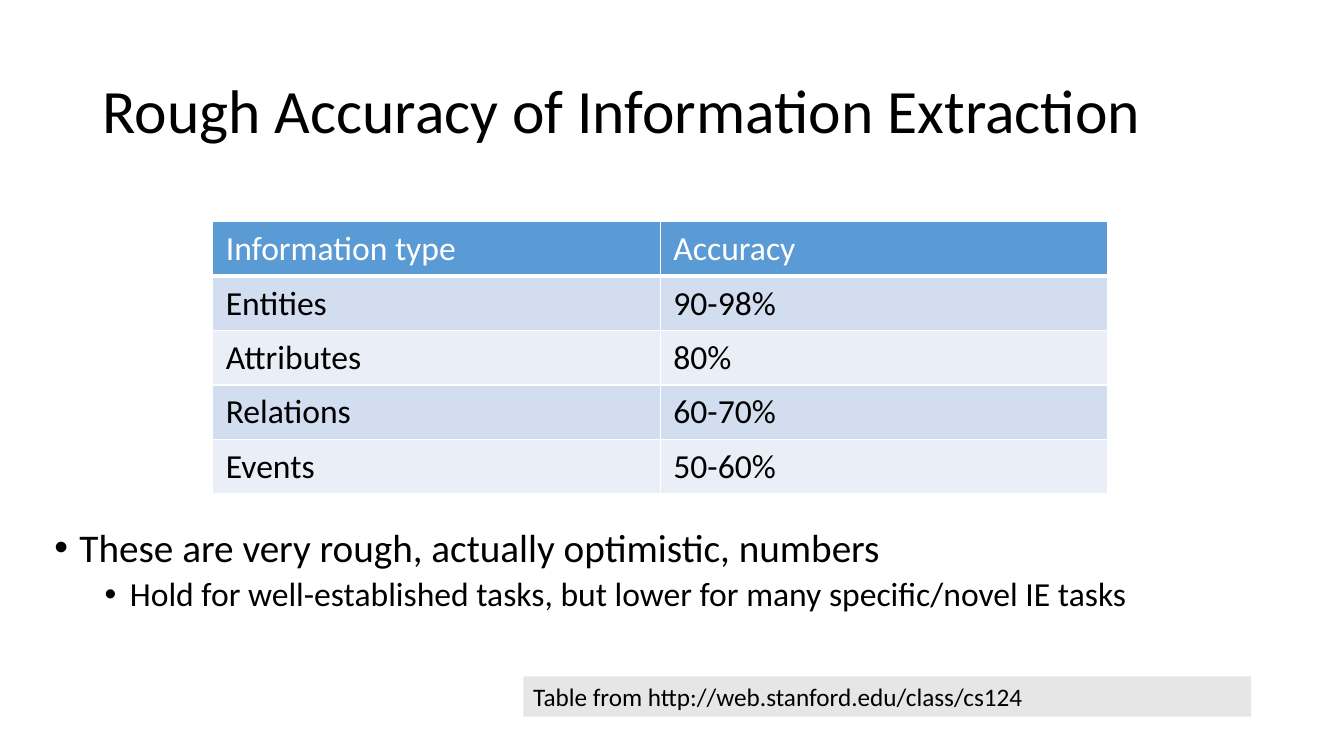
"""Build a slide on the rough accuracy of information extraction."""
from dataclasses import dataclass

from lxml import etree
from pptx import Presentation
from pptx.dml.color import RGBColor
from pptx.enum.shapes import MSO_SHAPE
from pptx.enum.text import MSO_ANCHOR, PP_ALIGN
from pptx.oxml.ns import qn
from pptx.util import Inches, Pt

RECTANGLE = MSO_SHAPE.RECTANGLE
TOP = MSO_ANCHOR.TOP
MIDDLE = MSO_ANCHOR.MIDDLE
LEFT = PP_ALIGN.LEFT
FONT = "Calibri"
COLORS = {
    "text": "000000",
    "white": "FFFFFF",
    "header": "5B9BD5",
    "odd_row": "D2DEEF",
    "even_row": "EAEFF7",
    "source": "E7E6E6",
}


@dataclass(frozen=True)
class Accuracy:
    information_type: str
    accuracy: str
    fill: str
    color: str = "text"
    rule_below: int = 1


@dataclass(frozen=True)
class Bullet:
    text: str
    size: int
    level: int
    indent: float
    space_before: int


ACCURACIES = [
    Accuracy("Information type", "Accuracy", "header", "white", 3),
    Accuracy("Entities", "90-98%", "odd_row"),
    Accuracy("Attributes", "80%", "even_row"),
    Accuracy("Relations", "60-70%", "odd_row"),
    Accuracy("Events", "50-60%", "even_row"),
]
BULLETS = [
    Bullet("These are very rough, actually optimistic, numbers", 28, 0, 0.25, 0),
    Bullet("Hold for well-established tasks, but lower for many specific/novel IE tasks",
           24, 1, 0.75, 5),
]


def rgb(name: str) -> RGBColor:
    return RGBColor.from_string(COLORS[name])


def set_font(paragraph, size: int, color: str = "text") -> None:
    font = paragraph.font
    font.name = FONT
    font.size = Pt(size)
    font.bold = False
    font.color.rgb = rgb(color)


def add_title(slide, text: str) -> None:
    title = slide.shapes.add_textbox(Inches(0.92), Inches(0.4), Inches(11.5), Inches(1.45))
    frame = title.text_frame
    frame.word_wrap = True
    frame.vertical_anchor = MIDDLE
    paragraph = frame.paragraphs[0]
    paragraph.text = text
    paragraph.line_spacing = 0.9
    set_font(paragraph, 44)


def add_border(cell, side: str, width: int) -> None:
    border = etree.SubElement(cell._tc.get_or_add_tcPr(), qn(f"a:ln{side}"), w=str(Pt(width)))
    fill = etree.SubElement(border, qn("a:solidFill"))
    etree.SubElement(fill, qn("a:srgbClr"), val=COLORS["white"])


def fill_cell(cell, text: str, row: Accuracy) -> None:
    cell.margin_left = cell.margin_right = Inches(0.13)
    cell.margin_top = Inches(0.07)
    cell.margin_bottom = Inches(0.06)
    for side in "LRT":
        add_border(cell, side, 1)
    add_border(cell, "B", row.rule_below)
    cell.fill.solid()
    cell.fill.fore_color.rgb = rgb(row.fill)
    cell.text = text
    set_font(cell.text_frame.paragraphs[0], 24, row.color)


def add_accuracy_table(slide, rows: list[Accuracy]) -> None:
    row_height = Inches(0.54)
    table = slide.shapes.add_table(len(rows), 2, Inches(2.11), Inches(2.2),
                                   Inches(8.88), row_height * len(rows)).table
    for table_row, row in zip(table.rows, rows):
        table_row.height = row_height
        for cell, text in zip(table_row.cells, (row.information_type, row.accuracy)):
            fill_cell(cell, text, row)


def add_bullets(slide, bullets: list[Bullet]) -> None:
    remarks = slide.shapes.add_textbox(Inches(0.44), Inches(5.19), Inches(12.44), Inches(1.42))
    frame = remarks.text_frame
    frame.word_wrap = True
    for index, bullet in enumerate(bullets):
        paragraph = frame.add_paragraph() if index else frame.paragraphs[0]
        paragraph.text = bullet.text
        paragraph.level = bullet.level
        paragraph.line_spacing = 0.9
        paragraph.space_before = Pt(bullet.space_before)
        properties = paragraph._p.get_or_add_pPr()
        properties.set("marL", str(Inches(bullet.indent)))
        properties.set("indent", str(Inches(-0.25)))
        etree.SubElement(properties, qn("a:buFont"), typeface="Arial")
        etree.SubElement(properties, qn("a:buChar"), char="•")
        set_font(paragraph, bullet.size)


def add_source(slide, text: str) -> None:
    source = slide.shapes.add_shape(RECTANGLE, Inches(5.19), Inches(6.71),
                                    Inches(7.22), Inches(0.4))
    source.shadow.inherit = False
    source.fill.solid()
    source.fill.fore_color.rgb = rgb("source")
    source.line.fill.background()
    frame = source.text_frame
    frame.word_wrap = True
    frame.vertical_anchor = TOP
    paragraph = frame.paragraphs[0]
    paragraph.text = text
    paragraph.alignment = LEFT
    set_font(paragraph, 18)


def main() -> None:
    presentation = Presentation()
    presentation.slide_width = Inches(13.33)
    presentation.slide_height = Inches(7.5)
    slide = presentation.slides.add_slide(presentation.slide_layouts[6])
    add_title(slide, "Rough Accuracy of Information Extraction")
    add_bullets(slide, BULLETS)
    add_accuracy_table(slide, ACCURACIES)
    add_source(slide, "Table from http://web.stanford.edu/class/cs124")
    presentation.save("out.pptx")


if __name__ == "__main__":
    main()
